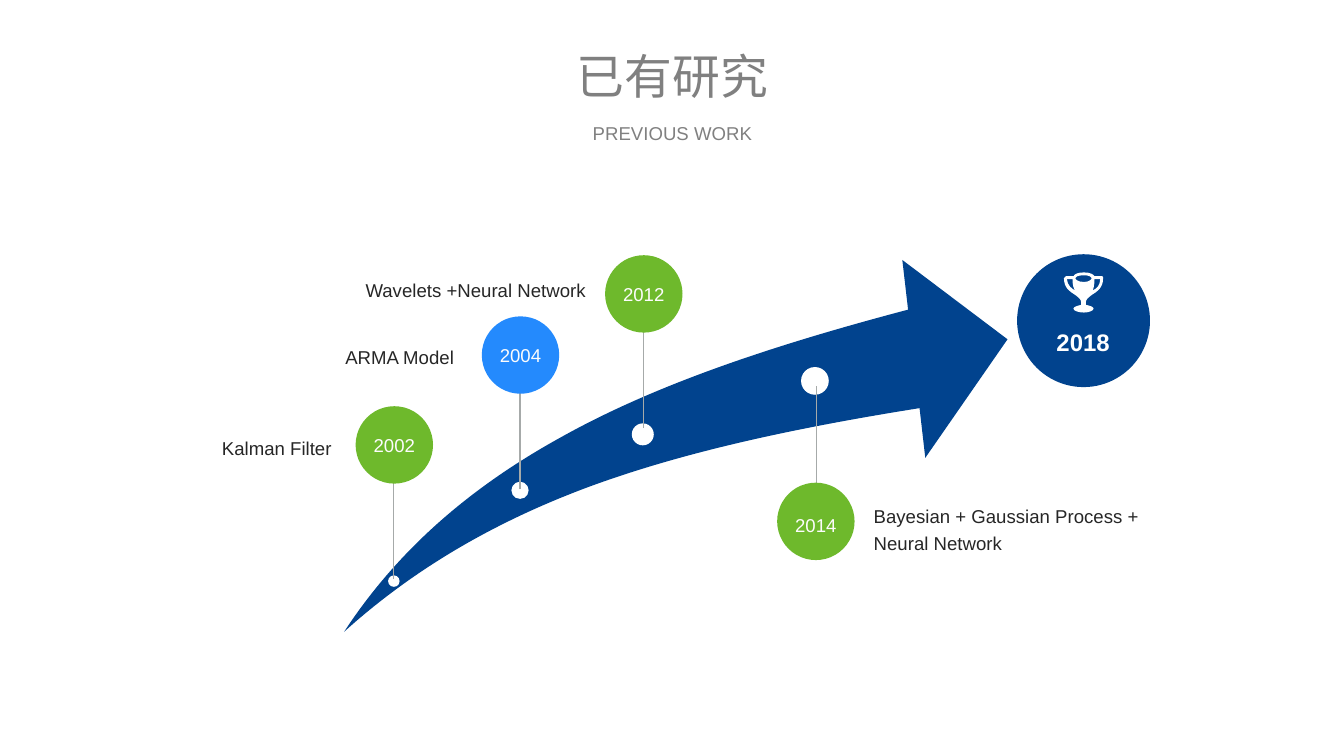
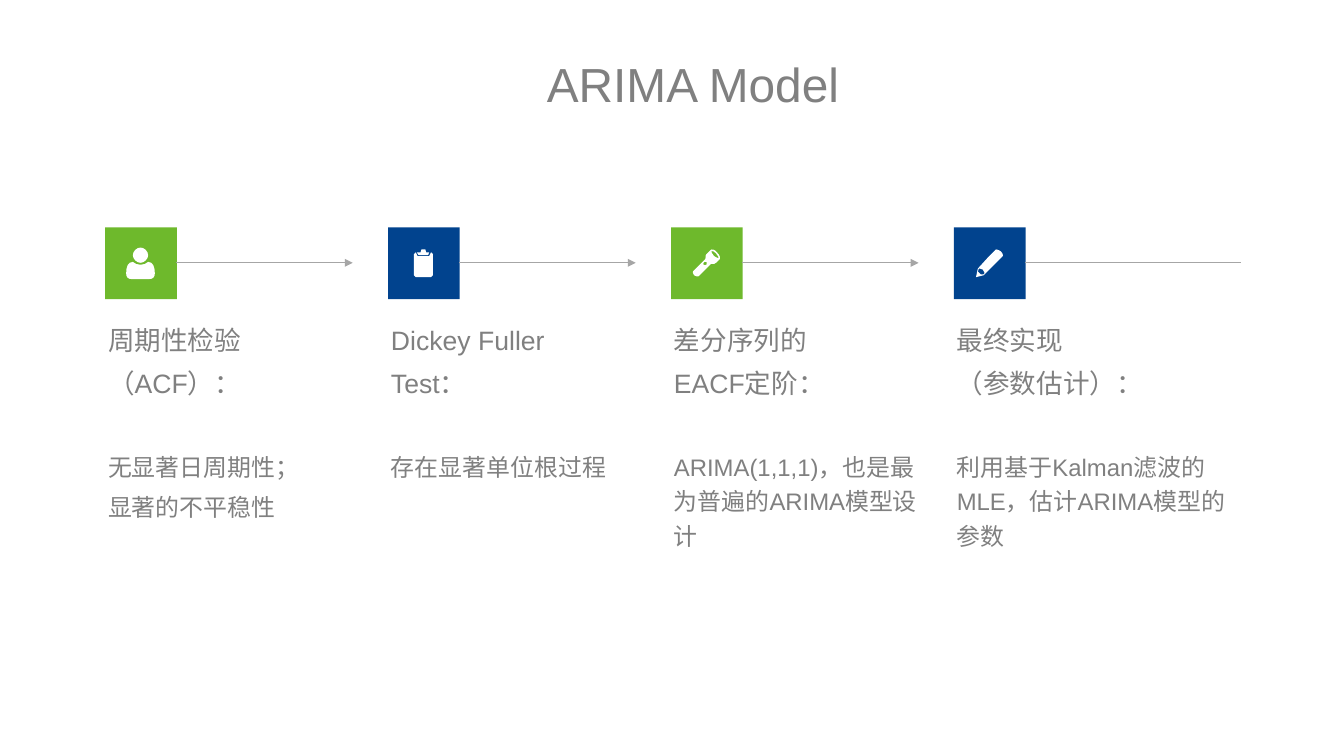
from lxml.etree import SubElement
from pptx import Presentation
from pptx.dml.color import RGBColor
from pptx.enum.shapes import MSO_CONNECTOR, MSO_SHAPE
from pptx.enum.text import MSO_ANCHOR, PP_ALIGN
from pptx.oxml.ns import qn
from pptx.util import Pt

PX = 9144  # 100 px to the inch
FONT = "Arial"
NAVY, GREEN, BLUE, WHITE = "01438E", "6EB92C", "248AFD", "FFFFFF"
GREY, INK, PALE, RULE, STEM = "808080", "262626", "FCFCFC", "A6A6A6", "A6AAA9"
LEFT, CENTER, RIGHT = PP_ALIGN.LEFT, PP_ALIGN.CENTER, PP_ALIGN.RIGHT

SWOOSH = ("M 0 389 C 55 305 130 239 226 186 C 324 131 446 90 590 52 L 584 0 L 694 83 "
          "L 608 207 L 602 155 C 470 176 355 201 257 237 C 157 274 72 324 0 389 Z")
TROPHY = ("M 3 7 L 9 7 C 9 13 10 17 12 19 C 8 17 4 14 3 7 Z "
          "M 21 3 C 27 3 29 5 29 6 C 29 7 27 10 21 10 C 14 10 12 7 12 6 C 12 5 14 3 21 3 Z "
          "M 30 19 C 31 17 32 13 32 7 L 38 7 C 38 14 34 17 30 19 Z "
          "M 23 31 C 23 28 26 26 30 23 C 35 20 41 16 41 6 C 41 5 41 4 40 4 L 32 4 "
          "C 31 2 27 0 21 0 C 14 0 11 2 10 4 L 2 4 C 1 4 0 5 0 6 C 0 16 6 20 11 23 "
          "C 15 26 18 28 18 31 L 18 34 C 14 35 10 36 10 38 C 10 40 15 42 21 42 "
          "C 26 42 31 40 31 38 C 31 36 28 35 23 34 C 23 34 23 31 23 31 Z")
PERSON = ["M 29 29 C 29 25 33 21 37 21 C 41 21 45 25 45 29 C 45 33 41 37 37 37 "
          "C 33 37 29 33 29 29 Z",
          "M 22 48 C 22 41 24 36 29 36 C 33 40 41 40 45 36 C 50 36 52 41 52 48 "
          "C 52 52 50 54 46 54 L 28 54 C 24 54 22 52 22 48 Z"]
CLIPBOARD = ["M 45 26 L 43 30 L 31 30 L 29 26 C 28 26 27 27 27 28 L 27 50 C 27 51 28 52 29 52 "
             "L 45 52 C 46 52 47 51 47 50 L 47 28 C 47 27 46 26 45 26 Z",
             "M 42 29 L 43 26 L 40 26 L 39 23 L 35 23 L 34 26 L 30 26 L 32 29 "
             "C 32 29 42 29 42 29 Z"]
TORCH = ["M 45 30 C 43 28 42 25 42 25 C 43 24 45 25 47 27 C 49 29 50 32 50 32 C 50 32 47 32 45 30 Z "
         "M 34 39 C 33 38 34 37 35 36 C 35 36 36 35 37 36 C 38 37 37 38 37 39 C 36 39 35 40 34 39 Z "
         "M 48 26 C 46 23 42 22 41 24 L 37 28 C 36 28 36 31 36 33 L 23 46 C 22 46 23 48 24 50 "
         "C 26 51 28 52 29 51 L 42 38 C 44 39 46 38 47 37 L 51 33 C 52 32 51 29 48 26 Z"]
PENCIL = ["M 31 49 L 28 49 C 28 49 27 48 27 48 C 26 47 25 47 25 46 L 26 43 L 26 43 "
          "C 26 43 28 43 30 44 C 32 46 32 48 32 48 C 32 48 31 49 31 49 Z "
          "M 49 25 C 46 23 44 23 44 23 L 35 32 L 25 43 L 23 52 L 31 50 L 42 39 L 51 30 "
          "C 51 30 52 28 49 25 Z"]


def rgb(color):
    return RGBColor.from_string(color)


def px(*lengths):
    return [round(n * PX) for n in lengths]


def paint(sp, color):
    sp.shadow.inherit = False
    sp.fill.solid()
    sp.fill.fore_color.rgb = rgb(color)
    sp.line.fill.background()


def add_solid(s, kind, x, y, w, h, color):
    paint(s.shapes.add_shape(kind, *px(x, y, w, h)), color)


def segments(path):
    """Read an M/L/C/Z path as (letter, points) pairs."""
    tokens = iter(path.split())
    size = {"M": 1, "L": 1, "C": 3, "Z": 0}
    return [(op, [(int(next(tokens)), int(next(tokens))) for _ in range(size[op])])
            for op in tokens]


def add_outline(s, x, y, path, color):
    """Draw a path with true curves, its zero point at x, y."""
    parts = segments(path)
    xs, ys = zip(*[pts[-1] for _, pts in parts if pts])
    left, top = min(xs), min(ys)
    builder = s.shapes.build_freeform(*px(x + left, y + top))
    builder.add_line_segments([px(x + max(xs), y + max(ys))], close=False)
    sp = builder.convert_to_shape()
    outline = next(sp._element.iter(qn("a:path")))
    for old in list(outline):
        outline.remove(old)
    tags = {"M": "a:moveTo", "L": "a:lnTo", "C": "a:cubicBezTo", "Z": "a:close"}
    for op, pts in parts:
        segment = SubElement(outline, qn(tags[op]))
        for px_x, px_y in pts:
            dx, dy = px(px_x - left, px_y - top)
            SubElement(segment, qn("a:pt"), x=str(dx), y=str(dy))
    paint(sp, color)


def add_line(s, x1, y1, x2, y2, color, arrow=False):
    line = s.shapes.add_connector(MSO_CONNECTOR.STRAIGHT, *px(x1, y1, x2, y2))
    line.line.color.rgb = rgb(color)
    line.line.width = Pt(1)
    if arrow:
        SubElement(line.line._get_or_add_ln(), qn("a:tailEnd"), type="triangle")
    SubElement(line._element.spPr, qn("a:effectLst"))


def add_text(s, x, y, w, h, lines, color, align=LEFT, anchor=MSO_ANCHOR.MIDDLE,
             spacing=1.2, bold=False):
    """Write lines of (text, size, space before), one paragraph each."""
    tf = s.shapes.add_textbox(*px(x, y, w, h)).text_frame
    tf.word_wrap = True
    tf.vertical_anchor = anchor
    tf.margin_left = tf.margin_top = tf.margin_right = tf.margin_bottom = 0
    for i, (text, size, before) in enumerate(lines):
        p = tf.add_paragraph() if i else tf.paragraphs[0]
        p.text = text
        p.alignment, p.line_spacing, p.space_before = align, spacing, Pt(before)
        font = p.runs[0].font
        font.name, font.size, font.bold = FONT, Pt(size), bold
        font.color.rgb = rgb(color)


def add_title(s, x, y, w, title, subtitle=None):
    add_text(s, x, y, w, 61, [(title, 36, 0)], GREY, CENTER, spacing=1.0)
    if subtitle:
        add_text(s, x, y + 79, w, 24, [(subtitle, 14, 0)], GREY, CENTER, spacing=1.0)


def add_milestone(s, x, y, year, color, label, label_box, below=False):
    """Year disc at x, y with its label and a stem to the arrow."""
    add_text(s, *label_box, [(label, 14, 3)], INK, LEFT if below else RIGHT)
    if below:
        add_line(s, x + 41, y - 101, x + 41, y + 38, STEM)
    else:
        add_line(s, x + 40, y + 181, x + 40, y + 42, STEM)
    add_solid(s, MSO_SHAPE.OVAL, x, y, 81, 81, color)
    add_text(s, x + 3, y + (21 if below else 17), 75, 42, [(year, 14, 10)], PALE, CENTER)


def add_goal(s, x, y, year):
    add_solid(s, MSO_SHAPE.OVAL, x, y, 139, 139, NAVY)
    add_outline(s, x + 49, y + 19, TROPHY, WHITE)
    add_text(s, x + 18, y + 67, 102, 41, [(year, 18, 10)], WHITE, CENTER, spacing=1.3, bold=True)


def add_step(s, x, y, color, icon, heading, body, text_width, line_end, arrow):
    add_solid(s, MSO_SHAPE.RECTANGLE, x, y, 75, 75, color)
    for path in icon:
        add_outline(s, x, y, path, WHITE)
    add_line(s, x + 74, y + 37, line_end, y + 37, RULE, arrow)
    lines = [(text, 20, 4) for text in heading]
    lines += [(text, 18, 4 if i else 36) for i, text in enumerate(body)]
    add_text(s, x + 3, y + 94, text_width, 260, lines, GREY, anchor=MSO_ANCHOR.TOP)


def previous_work(s):
    add_outline(s, 360, 272, SWOOSH, NAVY)
    for x, y, size in ((406, 602, 12), (535, 504, 18), (661, 443, 23), (838, 384, 29)):
        add_solid(s, MSO_SHAPE.OVAL, x, y, size, size, WHITE)
    add_goal(s, 1064, 266, "2018")
    add_title(s, 577, 48, 253, "已有研究", "PREVIOUS WORK")
    add_milestone(s, 372, 425, "2002", GREEN, "Kalman Filter", (188, 454, 159, 26))
    add_milestone(s, 504, 331, "2004", BLUE, "ARMA Model", (316, 358, 159, 26))
    add_milestone(s, 633, 267, "2012", GREEN, "Wavelets +Neural Network", (316, 288, 297, 26))
    add_milestone(s, 813, 505, "2014", GREEN, "Bayesian + Gaussian Process + Neural Network",
                  (914, 525, 297, 54), below=True)


def arima_model(s):
    steps = [
        (PERSON, ["周期性检验", "（ACF）："], ["无显著日周期性；", "显著的不平稳性"]),
        (CLIPBOARD, ["Dickey Fuller", "Test："], ["存在显著单位根过程"]),
        (TORCH, ["差分序列的", "EACF定阶："], ["ARIMA(1,1,1)，也是最为普遍的ARIMA模型设计"]),
        (PENCIL, ["最终实现", "（参数估计）："], ["利用基于Kalman滤波的MLE，估计ARIMA模型的参数"]),
    ]
    for i, (icon, heading, body) in enumerate(steps):
        x = 110 + 296 * i
        last = i == len(steps) - 1
        add_step(s, x, 238, NAVY if i % 2 else GREEN, icon, heading, body,
                 303 if last else 269, 1298 if last else x + 259, not last)
    add_title(s, 542, 57, 366, "ARIMA Model")


def main():
    prs = Presentation()
    prs.slide_width, prs.slide_height = px(1406, 791)
    for build in (previous_work, arima_model):
        build(prs.slides.add_slide(prs.slide_layouts[6]))
    prs.save("out.pptx")


if __name__ == "__main__":
    main()
